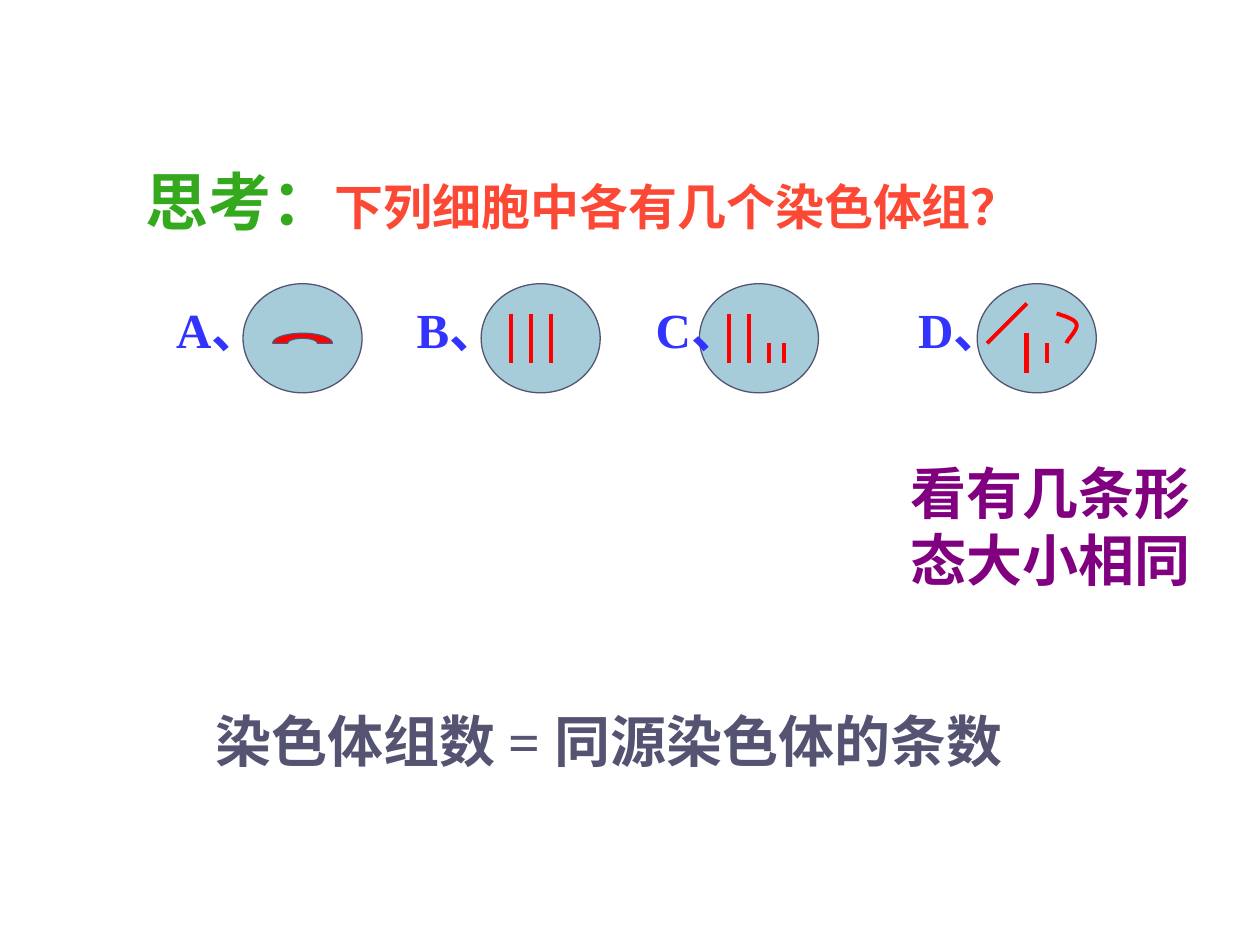
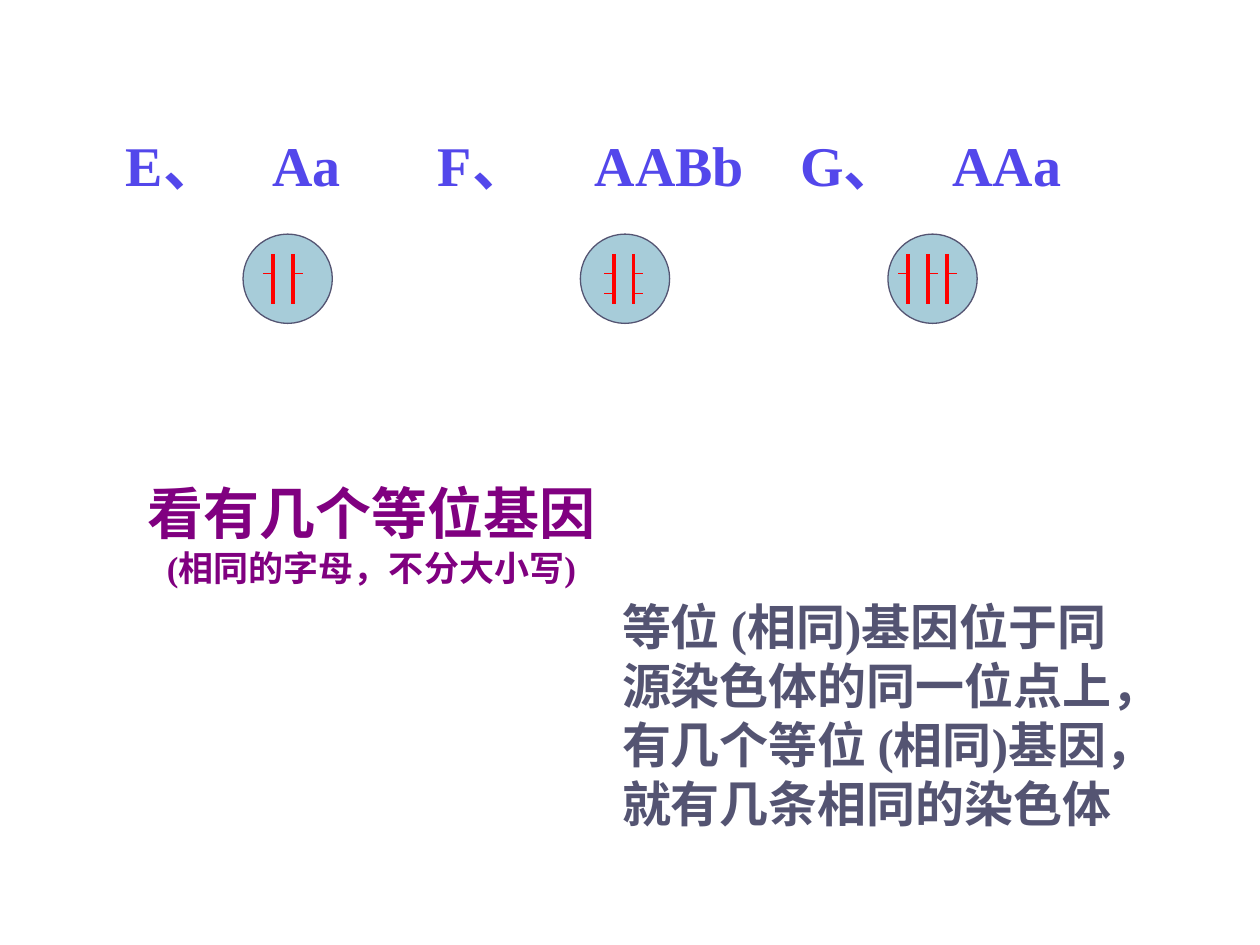
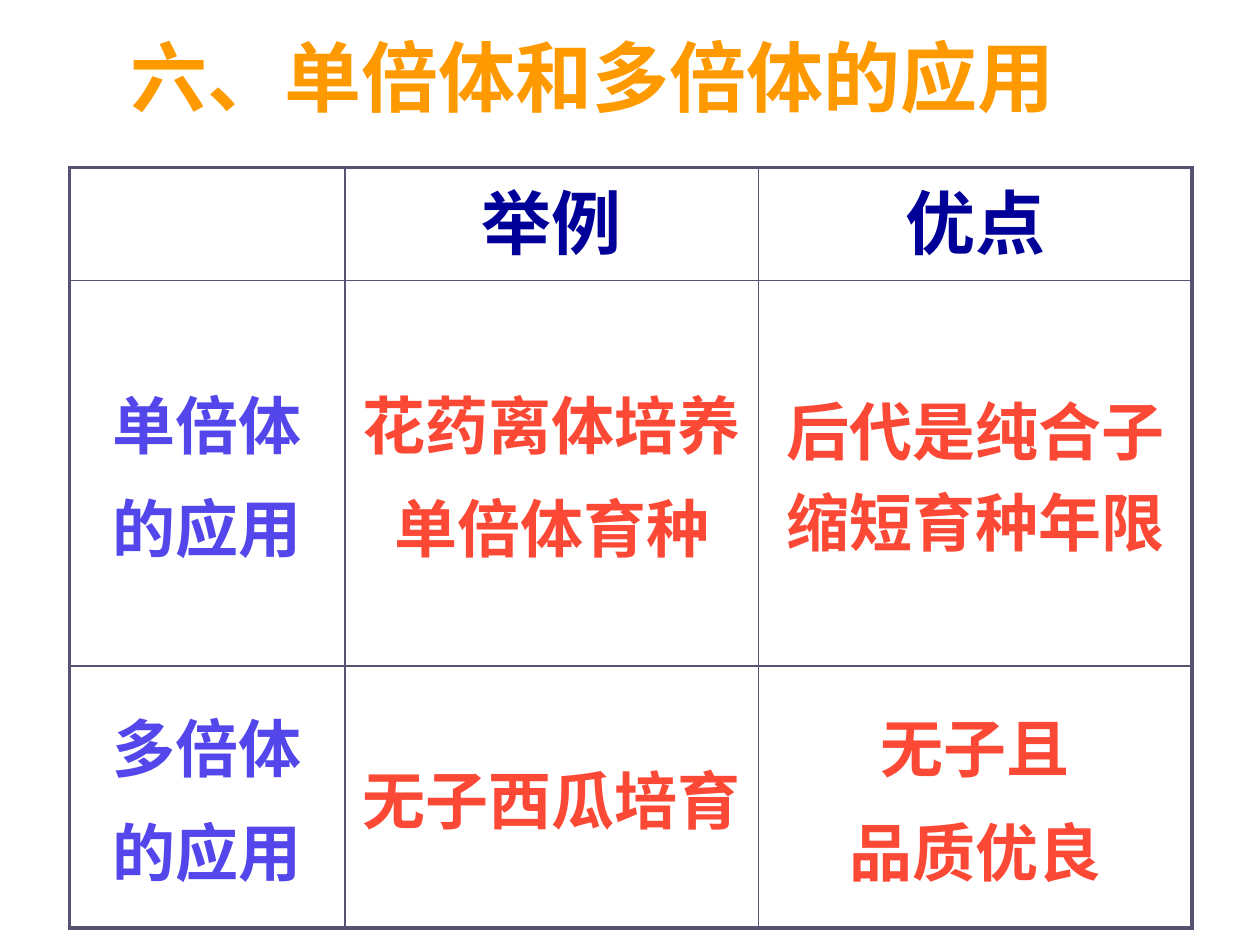
from dataclasses import dataclass
from math import cos, pi, sin
from typing import NamedTuple

from lxml.etree import SubElement
from pptx import Presentation
from pptx.dml.color import RGBColor
from pptx.enum.shapes import MSO_CONNECTOR, MSO_SHAPE
from pptx.enum.text import MSO_ANCHOR, PP_ALIGN
from pptx.oxml.ns import qn
from pptx.util import Cm, Pt

WHITE = RGBColor(0xFF, 0xFF, 0xFF)
SLATE = RGBColor(0x54, 0x54, 0x72)
PALE_BLUE = RGBColor(0xA7, 0xCC, 0xD9)
RED = RGBColor(0xFF, 0x00, 0x00)
CORAL = RGBColor(0xFC, 0x49, 0x36)
GREEN = RGBColor(0x34, 0xA9, 0x1D)
BLUE = RGBColor(0x33, 0x33, 0xFF)
VIOLET = RGBColor(0x53, 0x47, 0xEB)
PURPLE = RGBColor(0x80, 0x00, 0x80)
NAVY = RGBColor(0x00, 0x00, 0x99)
ORANGE = RGBColor(0xFF, 0x99, 0x00)

SERIF, BODY, CJK = "Times New Roman", "Cabin", "Noto Sans CJK SC"
THIN, THICK, HEAVY = 0.75, 2.25, 3.0
OUTER, INNER = 2.25, 1.0


class Box(NamedTuple):
    """Place and size in centimetres."""
    left: float
    top: float
    width: float
    height: float


class Span(NamedTuple):
    """A piece of text in one style."""
    text: str
    size: float
    color: RGBColor
    latin: str = SERIF
    east: str = BODY


class Stroke(NamedTuple):
    """A line in centimetres from the corner of its cell."""
    x1: float
    y1: float
    x2: float
    y2: float
    width: float = THICK


@dataclass
class Cell:
    """A round cell with its chromosomes."""
    box: Box
    strokes: list[Stroke]


def style_run(r, span: Span) -> None:
    """Give a run its fonts, size and colour."""
    r.font.name = span.latin
    r.font.size = Pt(span.size)
    r.font.bold = True
    r.font.color.rgb = span.color
    SubElement(r.font._element, qn("a:ea"), typeface=span.east)


def add_text(s, box: Box, spans: list[Span], tabs: tuple = (), align=None, spacing=None):
    """Add a wrapped text box with one paragraph."""
    tb = s.shapes.add_textbox(*map(Cm, box))
    tf = tb.text_frame
    tf.word_wrap = True
    p = tf.paragraphs[0]
    if tabs:
        tab_list = SubElement(p._p.get_or_add_pPr(), qn("a:tabLst"))
        for pos in tabs:
            SubElement(tab_list, qn("a:tab"), pos=str(Cm(pos)), algn="l")
    if align is not None:
        p.alignment = align
    if spacing is not None:
        p.line_spacing = spacing
    for span in spans:
        r = p.add_run()
        r.text = span.text
        style_run(r, span)
    return tb


def vertical(x: float, y1: float, y2: float, width: float = THICK) -> Stroke:
    """Make an upright stroke."""
    return Stroke(x, y1, x, y2, width)


def gene_strokes(first: float, count: int, loci: tuple) -> list[Stroke]:
    """Make evenly spaced chromosomes with a tick at each locus."""
    xs = [first + 0.4 * i for i in range(count)]
    strokes = [vertical(x, 0.4, 1.4) for x in xs]
    for y in loci:
        for i, x in enumerate(xs):
            strokes.append(Stroke(x, y, x + (0.2 if i else -0.2), y, THIN))
    return strokes


def draw_cell(s, cell: Cell) -> None:
    """Draw a cell and the strokes in it."""
    box = cell.box
    sp = s.shapes.add_shape(MSO_SHAPE.OVAL, *map(Cm, box))
    sp.shadow.inherit = False
    sp.fill.solid()
    sp.fill.fore_color.rgb = PALE_BLUE
    sp.line.color.rgb = SLATE
    sp.line.width = Pt(THIN)
    for st in cell.strokes:
        ends = (box.left + st.x1, box.top + st.y1, box.left + st.x2, box.top + st.y2)
        ln = s.shapes.add_connector(MSO_CONNECTOR.STRAIGHT, *map(Cm, ends))
        ln.line.color.rgb = RED
        ln.line.width = Pt(st.width)
        SubElement(ln._element.spPr, qn("a:effectLst"))


def draw_outline(s, box: Box, points: list, line: RGBColor, width: float, filled: bool) -> None:
    """Draw points, given from the corner of a cell, as a freeform."""
    pts = [(Cm(box.left + x), Cm(box.top + y)) for x, y in points]
    builder = s.shapes.build_freeform(*pts[0])
    builder.add_line_segments(pts[1:], close=filled)
    sp = builder.convert_to_shape()
    sp.shadow.inherit = False
    if filled:
        sp.fill.solid()
        sp.fill.fore_color.rgb = RED
    else:
        sp.fill.background()
    sp.line.color.rgb = line
    sp.line.width = Pt(width)


def half_ellipse(cx: float, cy: float, rx: float, ry: float, steps: int = 24) -> list:
    """Return the upper half of an ellipse from left to right."""
    angles = [pi * i / steps for i in range(steps + 1)]
    return [(cx - rx * cos(a), cy - ry * sin(a)) for a in angles]


def bezier(a, b, c, d, steps: int = 10) -> list:
    """Return points along a cubic curve."""
    points = []
    for i in range(steps + 1):
        t = i / steps
        u = 1 - t
        weights = (u ** 3, 3 * u * u * t, 3 * u * t * t, t ** 3)
        points.append(tuple(sum(w * q[k] for w, q in zip(weights, (a, b, c, d)))
                            for k in (0, 1)))
    return points


def chromosome_slide(prs) -> None:
    """Build the slide that counts sets by shape."""
    s = prs.slides.add_slide(prs.slide_layouts[6])
    add_text(s, Box(2.69, 3.33, 18.54, 2), [
        Span("思考：", 36, GREEN, BODY),
        Span("下列细胞中各有几个染色体组？", 28, CORAL, BODY),
    ], spacing=0.9)

    pair = [vertical(x, 0.6, 1.6) for x in (0.6, 1.0)]
    contents = {
        4.9: [],
        9.7: pair + [vertical(1.4, 0.6, 1.6)],
        14.1: pair + [vertical(x, 1.2, 1.6) for x in (1.4, 1.7)],
        19.7: [vertical(1.0, 1.0, 1.8, HEAVY), vertical(1.4, 1.2, 1.6),
               Stroke(1.0, 0.4, 0.2, 1.2)],
    }
    cells = [Cell(Box(left, 5.72, 2.4, 2.2), strokes) for left, strokes in contents.items()]
    for cell in cells:
        draw_cell(s, cell)

    arc = half_ellipse(1.2, 1.2, 0.6, 0.2) + half_ellipse(1.2, 1.2, 0.3, 0.1)[::-1]
    draw_outline(s, cells[0].box, arc, SLATE, THIN, True)
    hook = (bezier((1.6, 0.6), (1.78, 0.66), (1.96, 0.71), (2.0, 0.81))
            + bezier((2.0, 0.81), (2.05, 0.91), (1.8, 1.14), (1.8, 1.2))[1:])
    draw_outline(s, cells[-1].box, hook, RED, THICK, False)

    add_text(s, Box(3.3, 5.92, 18.8, 1.45), [Span("A、\tB、\tC、\tD、", 28, BLUE)],
             tabs=(4.85, 9.67, 14.96))
    add_text(s, Box(18.11, 9.12, 6.2, 2.97), [Span("看有几条形态大小相同", 32, PURPLE)])
    add_text(s, Box(4.09, 14.12, 16.61, 2.97), [Span("染色体组数 = 同源染色体的条数", 32, SLATE)])


def gene_slide(prs) -> None:
    """Build the slide that counts sets by alleles."""
    s = prs.slides.add_slide(prs.slide_layouts[6])
    add_text(s, Box(2.29, 2.51, 20.5, 1.6),
             [Span("E、\tAa\tF、\tAABb\tG、\tAAa", 32, VIOLET)],
             tabs=(2.95, 6.29, 9.45, 13.59, 16.66))
    add_text(s, Box(2.69, 9.53, 9.6, 2.46), [
        Span("看有几个等位基因", 32, PURPLE),
        Span("(相同的字母，不分大小写)", 20, PURPLE),
    ], align=PP_ALIGN.CENTER)
    add_text(s, Box(12.29, 11.91, 11.2, 6.2), [
        Span("等位 (相同)基因位于同源染色体的同一位点上，"
             "有几个等位 (相同)基因，就有几条相同的染色体", 28, SLATE),
    ])
    for left, strokes in (
        (4.9, gene_strokes(0.6, 2, (0.8,))),
        (11.7, gene_strokes(0.67, 2, (0.8, 1.2))),
        (17.9, gene_strokes(0.4, 3, (0.8,))),
    ):
        draw_cell(s, Cell(Box(left, 4.72, 1.8, 1.8), strokes))


def set_border(cell, side: str, width: float) -> None:
    """Give one side of a table cell its line."""
    ln = SubElement(cell._tc.get_or_add_tcPr(), qn(f"a:ln{side}"), w=str(Pt(width)))
    fill = SubElement(ln, qn("a:solidFill"))
    SubElement(fill, qn("a:srgbClr"), val=str(SLATE))


def application_slide(prs) -> None:
    """Build the slide with the table of uses."""
    s = prs.slides.add_slide(prs.slide_layouts[6])
    title = add_text(s, Box(1.9, 0.58, 20.12, 1.88),
                     [Span("六、单倍体和多倍体的应用", 44, ORANGE, CJK, CJK)],
                     align=PP_ALIGN.CENTER)
    title.fill.solid()
    title.fill.fore_color.rgb = WHITE
    title.text_frame.vertical_anchor = MSO_ANCHOR.MIDDLE

    rows = (
        ("", "举例", "优点"),
        ("单倍体\n的应用", "花药离体培养\n单倍体育种", "后代是纯合子 缩短育种年限"),
        ("多倍体\n的应用", "无子西瓜培育", "无子且\n品质优良"),
    )
    widths, heights = (5.56, 8.33, 8.74), (2.28, 7.77, 5.28)
    table = s.shapes.add_table(3, 3, Cm(1.4), Cm(3.38), Cm(sum(widths)), Cm(sum(heights))).table
    table.first_row = table.horz_banding = False
    for column, width in zip(table.columns, widths):
        column.width = Cm(width)
    for i, (row, height) in enumerate(zip(rows, heights)):
        table.rows[i].height = Cm(height)
        for j, text in enumerate(row):
            cell = table.cell(i, j)
            edges = {"L": j == 0, "R": j == 2, "T": i == 0, "B": i == 2}
            for side, is_outer in edges.items():
                set_border(cell, side, OUTER if is_outer else INNER)
            cell.fill.background()
            cell.vertical_anchor = MSO_ANCHOR.MIDDLE
            tf = cell.text_frame
            tf.text = text
            if i == 0:
                look = Span(text, 40, NAVY, BODY, BODY)
            else:
                look = Span(text, 36, CORAL if j else VIOLET, CJK, CJK)
            for k, p in enumerate(tf.paragraphs):
                p.alignment = PP_ALIGN.CENTER
                if k:
                    p.space_before = Pt(7.2)
                for r in p.runs:
                    style_run(r, look)


def main() -> None:
    """Build and save the three slides."""
    prs = Presentation()
    prs.slide_width, prs.slide_height = Cm(25.4), Cm(19.05)
    chromosome_slide(prs)
    gene_slide(prs)
    application_slide(prs)
    prs.save("out.pptx")


if __name__ == "__main__":
    main()
